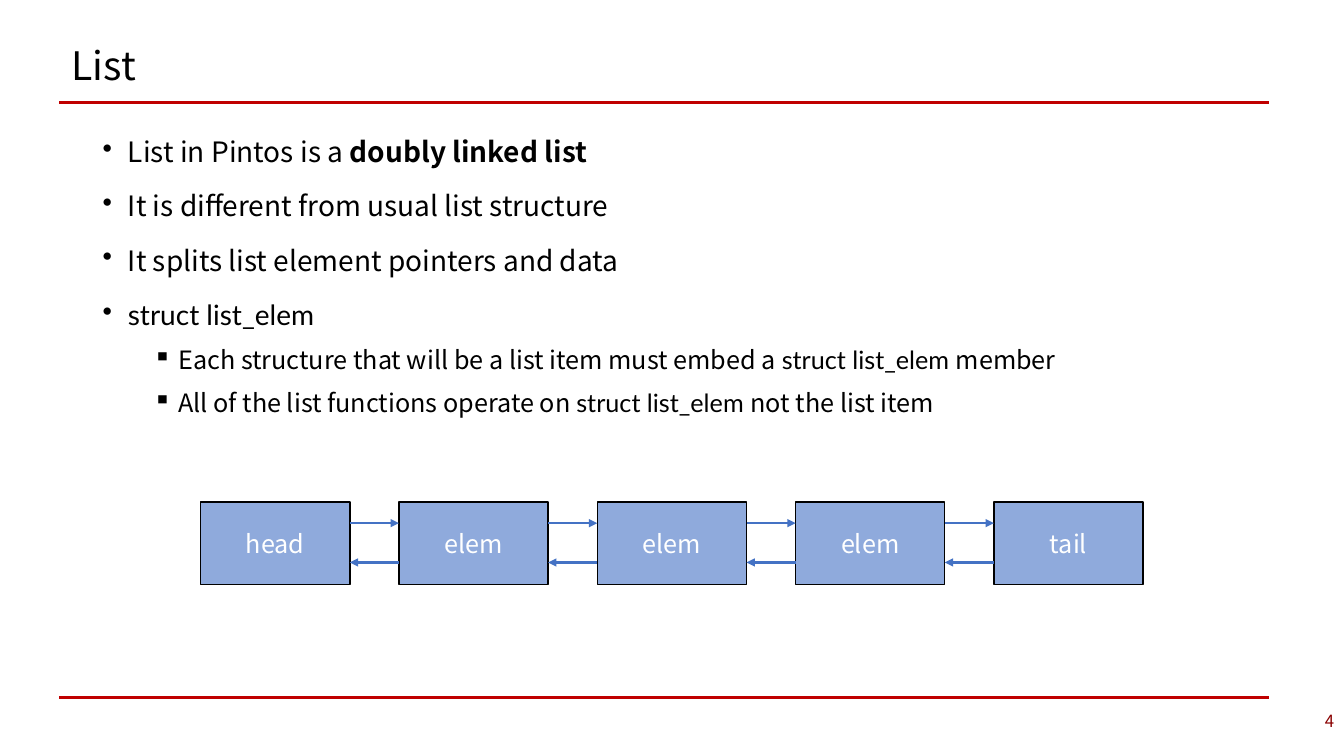
"""Build the slide on the doubly linked list."""
from lxml.etree import SubElement
from pptx import Presentation
from pptx.dml.color import RGBColor
from pptx.enum.shapes import MSO_CONNECTOR as Conn, MSO_SHAPE as Shape
from pptx.enum.text import MSO_ANCHOR as Anchor, MSO_AUTO_SIZE as Fit, PP_ALIGN as Align
from pptx.oxml.ns import qn
from pptx.util import Inches, Pt

BLACK = RGBColor(0x00, 0x00, 0x00)
WHITE = RGBColor(0xFF, 0xFF, 0xFF)
RED = RGBColor(0xC0, 0x00, 0x00)
DARK = RGBColor(0x8A, 0x00, 0x00)
BLUE = RGBColor(0x44, 0x72, 0xC4)
PALE = RGBColor(0x8F, 0xAA, 0xDC)
SANS, CODE = "Noto Sans CJK KR", "Lato"


def write(par, text, size=20, color=BLACK, font=SANS, bold=False, align=Align.LEFT):
    """Add a run of text to a paragraph."""
    par.alignment = align
    run = par.add_run()
    run.text = text
    run.font.size, run.font.name, run.font.bold = Pt(size), font, bold
    run.font.color.rgb = color


def draw(left, right, y, color, width, end=None):
    """Draw a level line, with an arrowhead at the given end."""
    line = slide.shapes.add_connector(
        Conn.STRAIGHT, Inches(left), Inches(y), Inches(right), Inches(y))
    line.line.color.rgb, line.line.width = color, Pt(width)
    if end:
        SubElement(line.line._get_or_add_ln(), qn(f"a:{end}"), type="triangle")
    SubElement(line._element.spPr, qn("a:effectLst"))


deck = Presentation()
deck.slide_width, deck.slide_height = Inches(13.33), Inches(7.5)
slide = deck.slides.add_slide(deck.slide_layouts[5])

for y in (6.92, 1.02):
    draw(0.59, 12.59, y, RED, 2.25)

title = slide.shapes.title
title.left, title.top = Inches(0.61), Inches(0.41)
title.width, title.height = Inches(11.5), Inches(0.53)
title.text_frame.auto_size = Fit.NONE
title.text_frame.vertical_anchor = Anchor.MIDDLE
head = title.text_frame.paragraphs[0]
head.line_spacing = 0.9
write(head, "List", size=28)

POINTS = [
    (0, [("List in Pintos is a ", {}), ("doubly linked list", {"bold": True})]),
    (0, [("It is different from usual list structure", {})]),
    (0, [("It splits list element pointers and data", {})]),
    (0, [("struct list_elem", {"font": CODE})]),
    (1, [("Each structure that will be a list item must embed a ", {}),
         ("struct list_elem ", {"font": CODE}), ("member", {})]),
    (1, [("All of the list functions operate on ", {}),
         ("struct list_elem ", {"font": CODE}), ("not the list item", {})]),
]
body = slide.shapes.add_textbox(
    Inches(0.92), Inches(1.22), Inches(11.5), Inches(0.43)).text_frame
body.word_wrap = True
for i, (level, runs) in enumerate(POINTS):
    par = body.add_paragraph() if i else body.paragraphs[0]
    par.level, par.line_spacing = level, 1.2
    par.space_before = Pt(5 if level else 10)
    for text, style in runs:
        write(par, text, size=20 - 2 * level, **style)
    props = par._p.get_or_add_pPr()
    props.set("marL", str(Inches(0.25 + 0.5 * level)))
    props.set("indent", str(Inches(-0.25)))
    SubElement(props, qn("a:buChar"), char="•▪"[level])

page = slide.shapes.add_textbox(
    Inches(10.22), Inches(6.95), Inches(3.11), Inches(0.4)).text_frame
page.word_wrap, page.vertical_anchor = True, Anchor.MIDDLE
write(page.paragraphs[0], "4", size=12, color=DARK, align=Align.RIGHT)

NODES = ["head", "elem", "elem", "elem", "tail"]
LEFT, TOP, WIDE, HIGH, STEP = 1.99, 4.98, 1.48, 0.82, 1.967
for i, name in enumerate(NODES):
    x = LEFT + i * STEP
    node = slide.shapes.add_shape(
        Shape.RECTANGLE, Inches(x), Inches(TOP), Inches(WIDE), Inches(HIGH))
    node.shadow.inherit = False
    node.fill.solid()
    node.fill.fore_color.rgb = PALE
    node.line.color.rgb, node.line.width = BLACK, Pt(1)
    node.text_frame.vertical_anchor = Anchor.MIDDLE
    write(node.text_frame.paragraphs[0], name, size=18, color=WHITE, align=Align.CENTER)

for y, end in ((5.19, "tailEnd"), (5.58, "headEnd")):
    for i in range(len(NODES) - 1):
        x = LEFT + i * STEP
        draw(x + WIDE, x + STEP, y, BLUE, 1.5, end)

deck.save("out.pptx")
